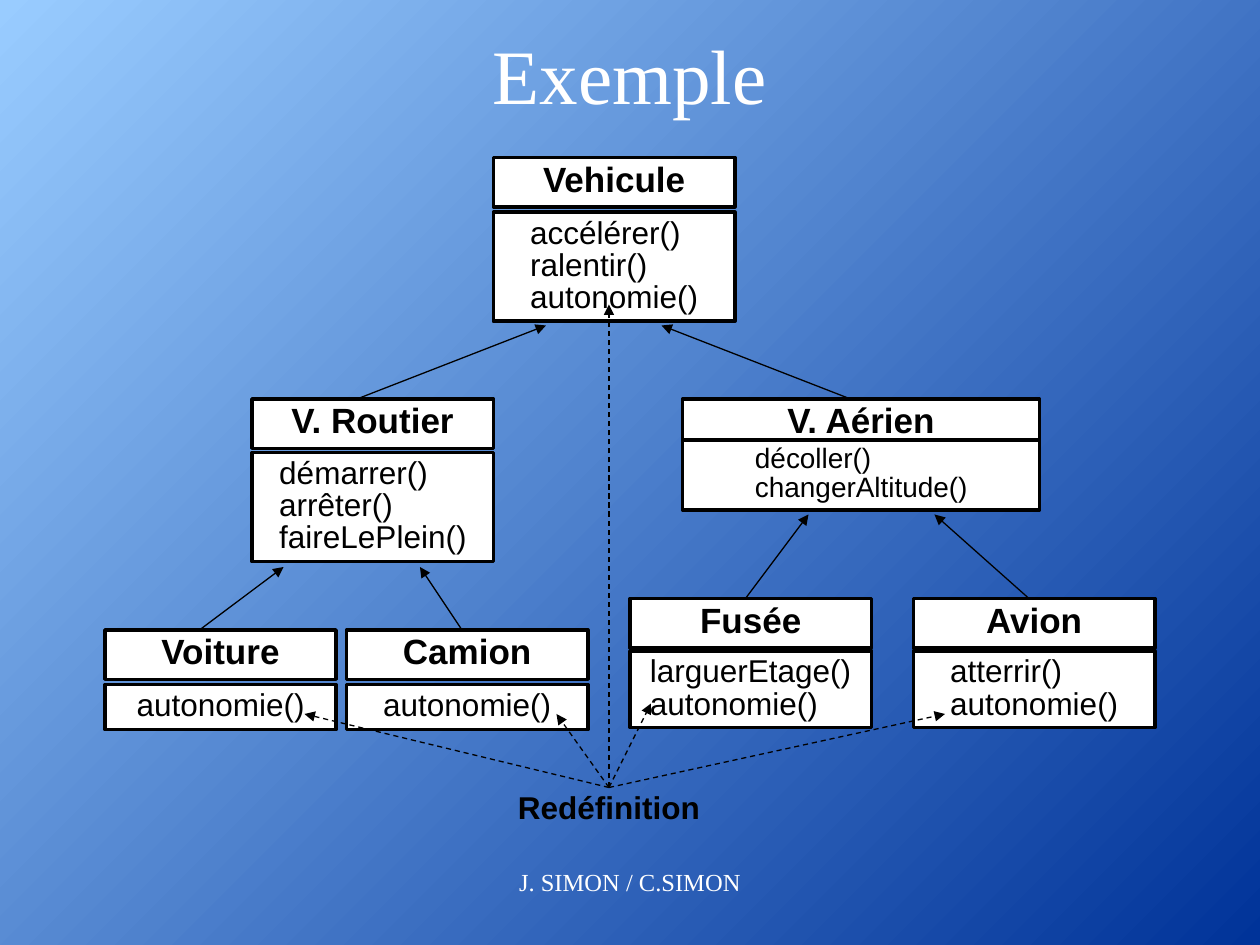
from pptx import Presentation
from pptx.dml.color import RGBColor
from pptx.enum.dml import MSO_LINE
from pptx.enum.shapes import MSO_CONNECTOR, MSO_SHAPE
from pptx.enum.text import MSO_ANCHOR, PP_ALIGN
from pptx.oxml.ns import qn
from pptx.util import Pt
from lxml.etree import SubElement

EMU_PER_PX = 7620
BLACK = RGBColor(0x00, 0x00, 0x00)
WHITE = RGBColor(0xFF, 0xFF, 0xFF)
NAVY = RGBColor(0x00, 0x33, 0x99)
SKY = RGBColor(0x99, 0xCC, 0xFF)
SANS = "Arial"
SERIF = "Times New Roman"
HEADER_HEIGHT = 47

CLASSES = [
    ("Vehicule", ["accélérer()", "ralentir()", "autonomie()"],
     dict(left=470, top=150, width=230, offset=52, height=104, indent=35)),
    ("V. Routier", ["démarrer()", "arrêter()", "faireLePlein()"],
     dict(left=240, top=380, width=230, offset=51, height=104, indent=26)),
    ("Voiture", ["autonomie()"],
     dict(left=100, top=600, width=220, offset=52, height=43, indent=30)),
    ("Camion", ["autonomie()"],
     dict(left=330, top=600, width=230, offset=52, height=43, indent=35)),
    ("Fusée", ["larguerEtage()", "autonomie()"],
     dict(left=600, top=570, width=230, offset=50, height=73, indent=19)),
    ("Avion", ["atterrir()", "autonomie()"],
     dict(left=870, top=570, width=230, offset=50, height=73, indent=35)),
    ("V. Aérien", ["décoller()", "changerAltitude()"],
     dict(left=650, top=380, width=340, offset=39, height=67, indent=69, size=16)),
]
INHERITANCE = [
    ((190, 600), (270, 540)),
    ((440, 600), (400, 540)),
    ((710, 570), (770, 490)),
    ((980, 570), (890, 490)),
    ((340, 380), (520, 310)),
    ((810, 380), (630, 310)),
]
REDEFINITION = (580, 750)
REDEFINED_METHODS = [(580, 290), (290, 680), (530, 680), (620, 670), (900, 680)]


def px(value):
    return value * EMU_PER_PX


def write_text(shape, lines, size, font=SANS, color=BLACK, bold=False,
               align=PP_ALIGN.CENTER, anchor=MSO_ANCHOR.TOP, spacing=0.85, indent=0):
    frame = shape.text_frame
    frame.word_wrap = True
    frame.vertical_anchor = anchor
    frame.margin_left, frame.margin_right = px(indent), 0
    frame.margin_top = frame.margin_bottom = px(6)
    for index, line in enumerate(lines):
        para = frame.add_paragraph() if index else frame.paragraphs[0]
        para.alignment = align
        para.line_spacing = spacing
        span = para.add_run()
        span.text = line
        span.font.name = font
        span.font.size = Pt(size)
        span.font.bold = bold
        span.font.color.rgb = color


def add_label(page, text, left, top, width, height, **style):
    box = page.shapes.add_textbox(px(left), px(top), px(width), px(height))
    write_text(box, [text], **style)


def add_compartment(page, lines, left, top, width, height, **style):
    box = page.shapes.add_shape(
        MSO_SHAPE.RECTANGLE, px(left), px(top), px(width), px(height))
    box.shadow.inherit = False
    box.fill.solid()
    box.fill.fore_color.rgb = WHITE
    box.line.color.rgb = BLACK
    box.line.width = Pt(2)
    write_text(box, lines, **style)


def add_class(page, name, methods, left, top, width, offset, height, indent, size=18):
    add_compartment(page, [name], left, top, width, HEADER_HEIGHT, size=20, bold=True)
    add_compartment(page, methods, left, top + offset, width, height,
                    size=size, align=PP_ALIGN.LEFT, indent=indent)


def add_arrow(page, start, end, dashed=False):
    arrow = page.shapes.add_connector(
        MSO_CONNECTOR.STRAIGHT, *map(px, start), *map(px, end))
    arrow.line.color.rgb = BLACK
    arrow.line.width = Pt(0.75)
    if dashed:
        arrow.line.dash_style = MSO_LINE.DASH
    properties = arrow.element.spPr
    SubElement(properties.find(qn("a:ln")), qn("a:tailEnd"), type="triangle")
    SubElement(properties, qn("a:effectLst"))


def paint_background(page):
    fill = page.background.fill
    fill.gradient()
    fill.gradient_angle = 135
    for stop, color, position in zip(fill.gradient_stops, (NAVY, SKY), (0, 1)):
        stop.color.rgb = color
        stop.position = position


def add_diagram(page):
    for start, end in INHERITANCE:
        add_arrow(page, start, end)
    for name, methods, layout in CLASSES:
        add_class(page, name, methods, **layout)
    add_label(page, "Redéfinition", 480, 750, 200, 43, size=18, bold=True,
              anchor=MSO_ANCHOR.MIDDLE)
    for target in REDEFINED_METHODS:
        add_arrow(page, REDEFINITION, target, dashed=True)


def main():
    deck = Presentation()
    deck.slide_width, deck.slide_height = px(1200), px(900)
    page = deck.slides.add_slide(deck.slide_layouts[6])
    paint_background(page)
    add_label(page, "Exemple", 90, 30, 1020, 80, size=44, font=SERIF, color=WHITE,
              anchor=MSO_ANCHOR.MIDDLE, spacing=1.0)
    add_diagram(page)
    add_label(page, "J. SIMON / C.SIMON", 360, 820, 480, 60, size=14, font=SERIF,
              color=WHITE, spacing=1.0)
    deck.save("out.pptx")


if __name__ == "__main__":
    main()
